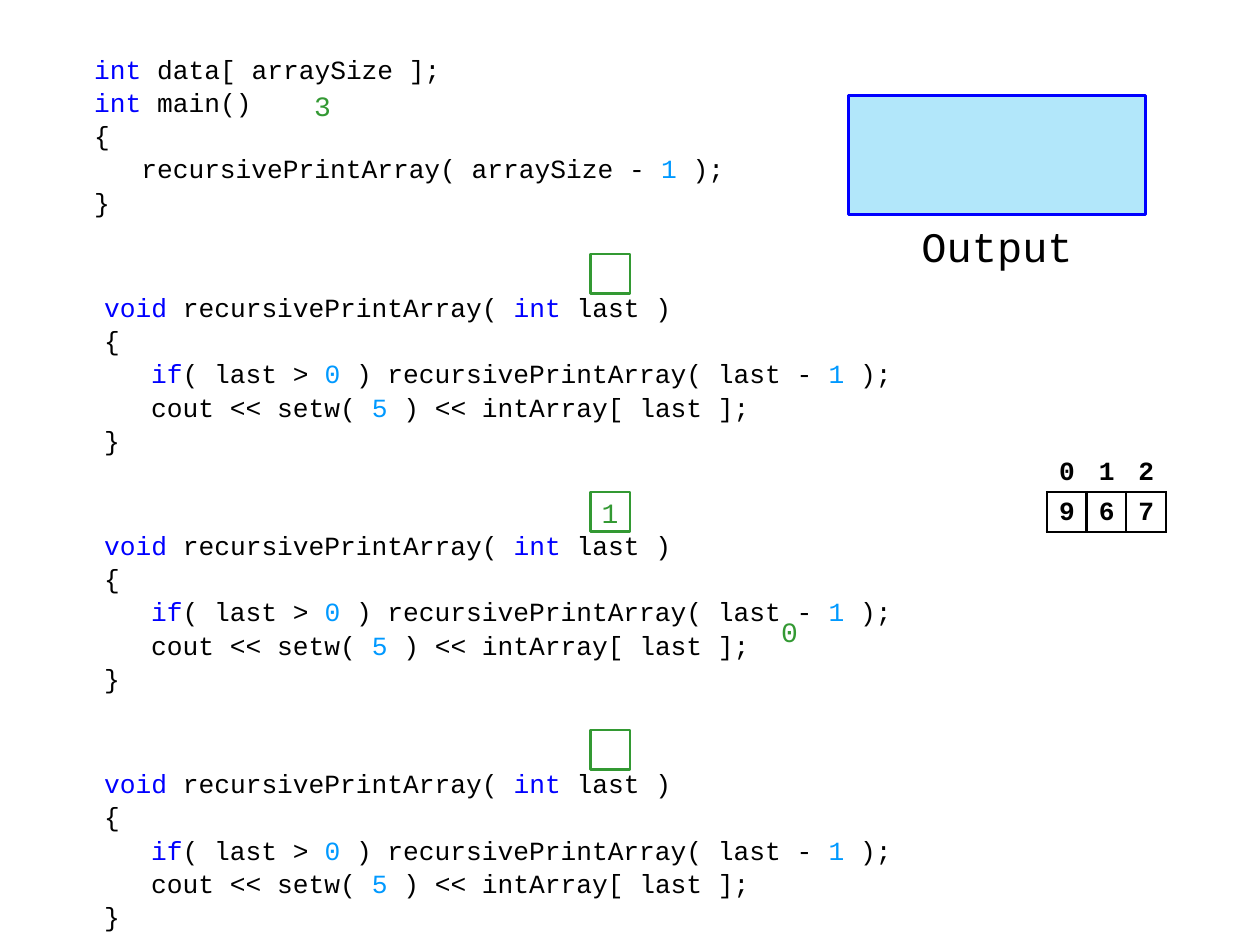
from dataclasses import dataclass
from itertools import groupby

from lxml.etree import SubElement
from pptx import Presentation
from pptx.dml.color import RGBColor as RGB
from pptx.enum.shapes import MSO_SHAPE as SHAPE
from pptx.enum.text import MSO_ANCHOR as ANCHOR, PP_ALIGN as ALIGN
from pptx.oxml.ns import qn
from pptx.util import Cm, Pt


@dataclass(frozen=True)
class Theme:
    font: str = "Courier New"
    ink: str = "000000"
    keyword: str = "0000FF"
    number: str = "0099FF"
    value: str = "339933"
    screen: str = "00B0F0"
    code_size: float = 15
    value_size: float = 16
    label_size: float = 24
    line_width: float = 1.5


KEYWORDS = {"int", "void", "if"}
INDENT = Cm(0.95)  # three characters of code
CELL = 0.8
FRAME_TOP, FRAME_STEP = 5.52, 4.8

MAIN = """int data[ arraySize ];
int main()
{
   recursivePrintArray( arraySize - 1 );
}"""

FUNCTION = """void recursivePrintArray( int last )
{
   if( last > 0 ) recursivePrintArray( last - 1 );
   cout << setw( 5 ) << intArray[ last ];
}"""


def write(p, text, size, color, font=Theme.font, bold=None):
    r = p.add_run()
    r.text = text
    r.font.name, r.font.size, r.font.bold = font, Pt(size), bold
    r.font.color.rgb = RGB.from_string(color)


def space_before(p, percent):
    spacing = SubElement(p._p.get_or_add_pPr(), qn("a:spcBef"))
    SubElement(spacing, qn("a:spcPct"), val=str(percent * 1000))


def set_insets(target, left, top, right, bottom):
    target.margin_left, target.margin_top = Cm(left), Cm(top)
    target.margin_right, target.margin_bottom = Cm(right), Cm(bottom)


def set_border(cell, sides, color, width):
    tcPr = cell._tc.get_or_add_tcPr()
    for i, side in enumerate(sides):
        ln = SubElement(tcPr, qn(f"a:ln{side}"), w=str(Pt(width)))
        tcPr.insert(i, ln)
        fill = SubElement(ln, qn("a:solidFill"))
        SubElement(fill, qn("a:srgbClr"), val=color)


class Builder:
    def __init__(self, slide, theme):
        self.s, self.theme = slide, theme

    def colour_of(self, word):
        if word in KEYWORDS:
            return self.theme.keyword
        return self.theme.number if word.isdigit() else self.theme.ink

    def code(self, source, x, y, w, h, left_inset, right_inset):
        """Add a block of code with keywords and numbers coloured."""
        tf = self.s.shapes.add_textbox(Cm(x), Cm(y), Cm(w), Cm(h)).text_frame
        tf.word_wrap = True
        set_insets(tf, left_inset, 0.35, right_inset, 0.25)
        for i, line in enumerate(source.splitlines()):
            p = tf.add_paragraph() if i else tf.paragraphs[0]
            p.space_before = Pt(1)
            if line.startswith(" "):
                p._p.get_or_add_pPr().set("marL", str(INDENT))
            words = ["".join(g) for _, g in groupby(line.strip(), str.isalnum)]
            for color, group in groupby(words, self.colour_of):
                write(p, "".join(group), self.theme.code_size, color)

    def centred(self, tf, text, size, color):
        p = tf.paragraphs[0]
        p.alignment = ALIGN.CENTER
        space_before(p, 50)
        write(p, text, size, color)

    def value(self, tf, text):
        tf.word_wrap = False
        tf.vertical_anchor = ANCHOR.MIDDLE
        set_insets(tf, 0.25, 0, 0.25, 0)
        self.centred(tf, text, self.theme.value_size, self.theme.value)

    def loose_value(self, text, x, y, size):
        box = self.s.shapes.add_textbox(Cm(x), Cm(y), Cm(size), Cm(size))
        self.value(box.text_frame, text)

    def label(self, text, x, y, w, h):
        tf = self.s.shapes.add_textbox(Cm(x), Cm(y), Cm(w), Cm(h)).text_frame
        tf.word_wrap = True
        self.centred(tf, text, self.theme.label_size, self.theme.ink)

    def box(self, x, y, w, h, line, fill=None, alpha=100, text=None):
        sp = self.s.shapes.add_shape(SHAPE.RECTANGLE, Cm(x), Cm(y), Cm(w), Cm(h))
        sp.shadow.inherit = False
        sp.line.color.rgb = RGB.from_string(line)
        sp.line.width = Pt(self.theme.line_width)
        if fill:
            sp.fill.solid()
            sp.fill.fore_color.rgb = RGB.from_string(fill)
            color = sp._element.spPr.find(f"{qn('a:solidFill')}/{qn('a:srgbClr')}")
            SubElement(color, qn("a:alpha"), val=str(alpha * 1000))
        else:
            sp.fill.background()
        if text:
            self.value(sp.text_frame, text)

    def array(self, values, x, y):
        """Add a table with the indices above the boxed values."""
        n = len(values)
        table = self.s.shapes.add_table(
            2, n, Cm(x), Cm(y), Cm(n * CELL), Cm(2 * CELL)).table
        table.first_row = table.horz_banding = False
        for line in (*table.rows, *table.columns):
            if hasattr(line, "height"):
                line.height = Cm(CELL)
            else:
                line.width = Cm(CELL)
        for row, texts in enumerate((range(n), values)):
            for col, text in enumerate(texts):
                cell = table.cell(row, col)
                cell.fill.background()
                cell.vertical_anchor = ANCHOR.MIDDLE
                set_insets(cell, 0.25, 0.05, 0.25, 0)
                p = cell.text_frame.paragraphs[0]
                p.alignment = ALIGN.CENTER
                space_before(p, 50)
                write(p, str(text), self.theme.code_size, self.theme.ink, bold=True)
                set_border(cell, "LRTB" if row else "B",
                           self.theme.ink, self.theme.line_width)


def main():
    prs = Presentation()
    prs.slide_width, prs.slide_height = Cm(25.4), Cm(19.05)
    theme = Theme()
    b = Builder(prs.slides.add_slide(prs.slide_layouts[6]), theme)

    b.code(MAIN, 1.5, 0.72, 15.6, 3.6, 0.4, 0.25)
    for i, last in enumerate((None, "1", None)):
        top = FRAME_TOP + i * FRAME_STEP
        b.code(FUNCTION, 1.5, top, 19.6, 3.6, 0.6, 0.1)
        b.box(11.9, top - 0.4, CELL, CELL, theme.value, text=last)
    b.loose_value("3", 5.9, 1.52, 1.2)
    b.loose_value("0", 15.5, 12.32, CELL)

    b.box(17.1, 1.92, 6, 2.4, theme.keyword, fill=theme.screen, alpha=30)
    b.label("Output", 17.9, 4.32, 4.4, 1.2)
    b.array((9, 6, 7), 21.1, 9.12)

    prs.save("out.pptx")


if __name__ == "__main__":
    main()
